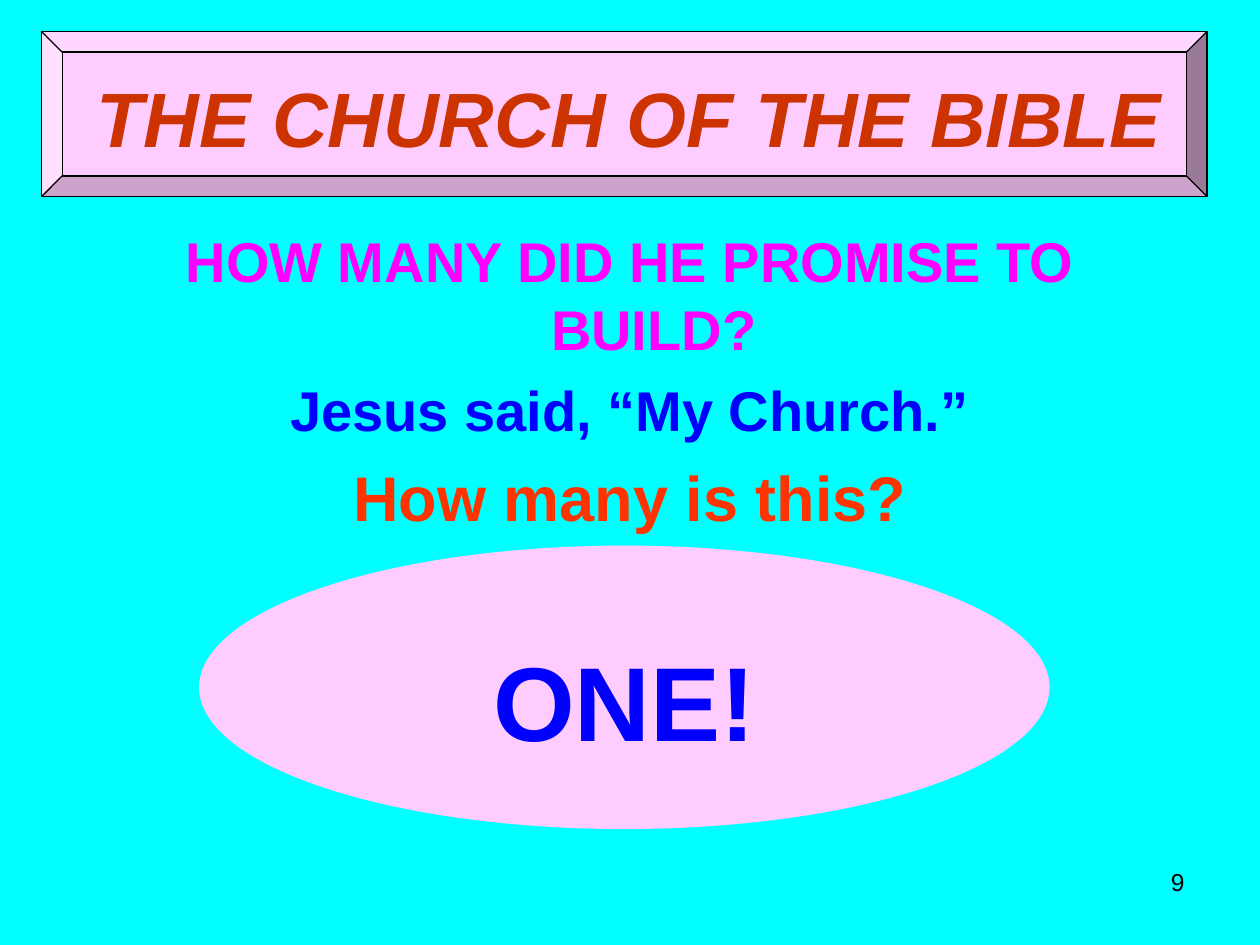
from pptx import Presentation
from pptx.dml.color import RGBColor
from pptx.enum.shapes import MSO_SHAPE
from pptx.enum.text import MSO_ANCHOR, MSO_AUTO_SIZE, PP_ALIGN
from pptx.oxml.ns import qn
from pptx.util import Inches, Pt

OVAL, BEVEL = MSO_SHAPE.OVAL, MSO_SHAPE.BEVEL
TOP, MIDDLE = MSO_ANCHOR.TOP, MSO_ANCHOR.MIDDLE
CENTER, RIGHT = PP_ALIGN.CENTER, PP_ALIGN.RIGHT
FIXED = MSO_AUTO_SIZE.NONE

COLORS = {
    "back": "00FFFF", "pink": "FFCCFF", "black": "000000", "rust": "CC3300",
    "magenta": "FF00FF", "blue": "0000FF", "orange": "FF3300",
}


class Deck:
    font = "Arial"

    def __init__(self, slide):
        self.slide = slide
        fill = slide.background.fill
        fill.solid()
        fill.fore_color.rgb = self.color("back")

    def color(self, name):
        return RGBColor.from_string(COLORS[name])

    def shape(self, kind, box, fill, line=None):
        item = self.slide.shapes.add_shape(kind, *map(Inches, box))
        item.shadow.inherit = False
        item.fill.solid()
        item.fill.fore_color.rgb = self.color(fill)
        if line:
            item.line.color.rgb = self.color(line)
            item.line.width = Pt(0.75)
        else:
            item.line.fill.background()
        return item

    def holder(self, item, box):
        """Place a placeholder in front of the shapes drawn so far."""
        item.left, item.top, item.width, item.height = map(Inches, box)
        self.slide.shapes._spTree.append(item._element)
        return item

    def label(self, box):
        return self.slide.shapes.add_textbox(*map(Inches, box))

    def text(self, item, lines, anchor=TOP, align=CENTER, hang=0,
             wrap=True, inset=0.05):
        """Fill a frame with lines of (words, size, color, space before)."""
        frame = item.text_frame
        frame.auto_size = FIXED
        frame.word_wrap = wrap
        frame.vertical_anchor = anchor
        frame.margin_left = frame.margin_right = Inches(0.1)
        frame.margin_top, frame.margin_bottom = Inches(inset), Inches(0.05)
        for i, (words, size, color, gap) in enumerate(lines):
            para = frame.add_paragraph() if i else frame.paragraphs[0]
            para.alignment = align
            para.space_before = Pt(gap)
            props = para._p.get_or_add_pPr()
            props.set("marL", str(Inches(hang)))
            props.set("indent", str(-Inches(hang)))
            props.append(props.makeelement(qn("a:buNone"), {}))
            run = para.add_run()
            run.text = words
            run.font.name = self.font
            run.font.size = Pt(size)
            run.font.color.rgb = self.color(color)
            run.font.bold = align == CENTER
        return frame


def main():
    prs = Presentation()
    prs.slide_width, prs.slide_height = Inches(10), Inches(7.5)
    slide = prs.slides.add_slide(prs.slide_layouts[1])
    deck = Deck(slide)

    # Answer oval
    oval = deck.shape(OVAL, (1.58, 4.33, 6.75, 2.25), "pink")
    deck.text(oval, [("ONE!", 60, "blue", 0)], MIDDLE, hang=0.38,
              wrap=False, inset=0.25)

    # Title on its bevelled plate
    deck.shape(BEVEL, (0.33, 0.25, 9.25, 1.31), "pink", "black")
    title = deck.holder(slide.shapes.title, (0.5, 0.3, 9, 1.25))
    frame = deck.text(title, [("THE CHURCH OF THE BIBLE", 44, "rust", 0)],
                      MIDDLE)
    frame.paragraphs[0].runs[0].font.italic = True

    # Questions
    body = deck.holder(slide.placeholders[1], (0.5, 1.75, 9, 4.95))
    deck.text(body, [
        ("HOW MANY DID HE PROMISE TO BUILD?", 32, "magenta", 0),
        ("Jesus said, “My Church.”", 32, "blue", 8),
        ("How many is this?", 36, "orange", 9),
    ], hang=0.38)

    # Page number
    page = deck.label((7.17, 6.83, 2.33, 0.52))
    deck.text(page, [("9", 14, "black", 0)], align=RIGHT)

    prs.save("out.pptx")


if __name__ == "__main__":
    main()
